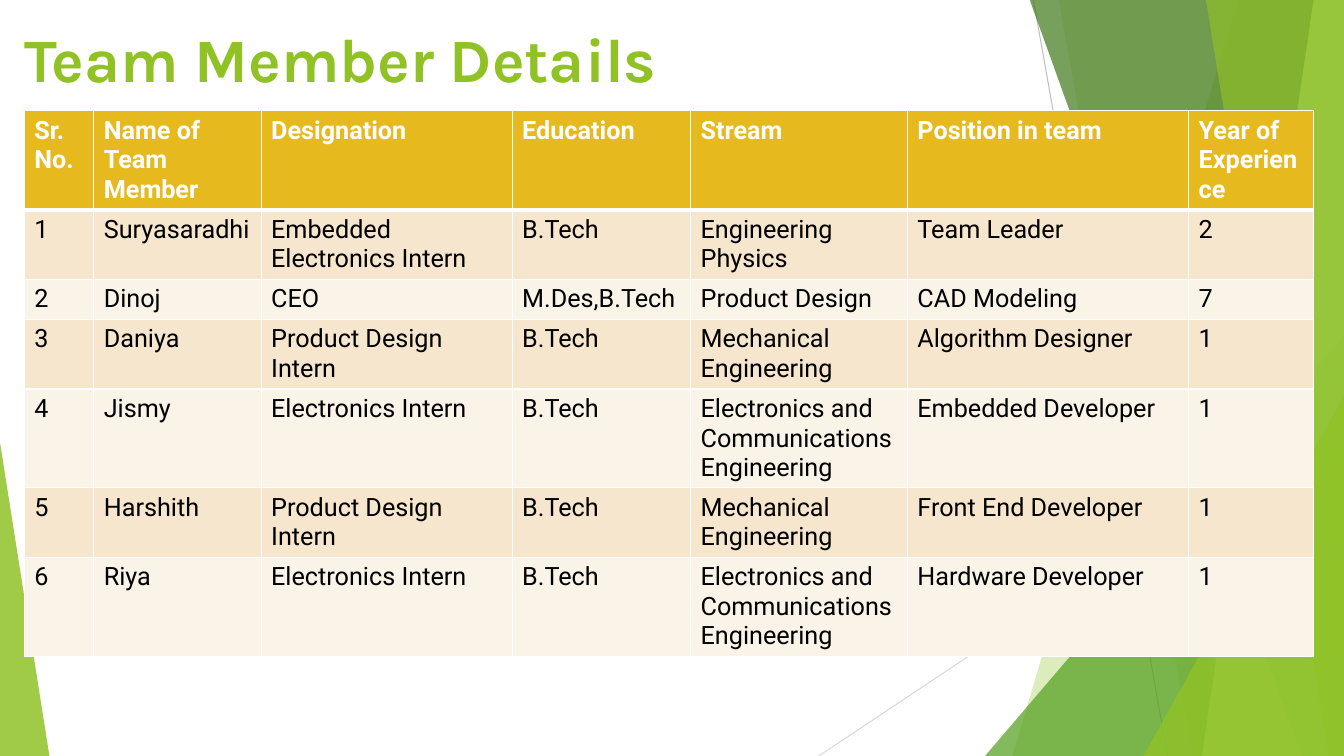
from lxml.etree import SubElement
from pptx import Presentation
from pptx.dml.color import RGBColor
from pptx.enum.shapes import MSO_CONNECTOR, MSO_SHAPE
from pptx.enum.text import MSO_ANCHOR, MSO_AUTO_SIZE, PP_ALIGN
from pptx.oxml import parse_xml
from pptx.oxml.ns import nsdecls, qn
from pptx.util import Inches, Pt

WIDTH, HEIGHT = 13.33, 7.5
TOP = -0.01
GREEN = "90C226"

COLUMN_WIDTHS = [0.69, 1.66, 2.49, 1.77, 2.15, 2.79, 1.24]
LINES_PER_ROW = [3, 2, 1, 2, 3, 2, 3]
ROW_HEIGHTS = {1: 0.4, 2: 0.69, 3: 0.98}

TEAM = [
    ["Sr. No.", "Name of Team Member", "Designation", "Education", "Stream",
     "Position in team", "Year of Experience"],
    ["1", "Suryasaradhi", "Embedded Electronics Intern", "B.Tech",
     "Engineering Physics", "Team Leader", "2"],
    ["2", "Dinoj", "CEO", "M.Des,B.Tech", "Product Design", "CAD Modeling", "7"],
    ["3", "Daniya", "Product Design Intern", "B.Tech",
     "Mechanical Engineering", "Algorithm Designer", "1"],
    ["4", "Jismy", "Electronics Intern", "B.Tech",
     "Electronics and Communications Engineering", "Embedded Developer", "1"],
    ["5", "Harshith", "Product Design Intern", "B.Tech",
     "Mechanical Engineering", "Front End Developer", "1"],
    ["6", "Riya", "Electronics Intern", "B.Tech",
     "Electronics and Communications Engineering", "Hardware Developer", "1"],
]


def color(hex_string):
    return RGBColor.from_string(hex_string)


class TeamSlide:
    heading_font = "Karla"
    body_font = "Roboto"

    def __init__(self, presentation):
        self.slide = presentation.slides.add_slide(presentation.slide_layouts[5])
        self.shapes = self.slide.shapes

    def style_font(self, paragraph, name, size, hex_string, bold):
        for run in paragraph.runs:
            run.font.name = name
            run.font.size = Pt(size)
            run.font.bold = bold
            run.font.color.rgb = color(hex_string)

    def paint(self, shape, hex_string, opacity):
        shape.shadow.inherit = False
        shape.line.fill.background()
        shape.fill.solid()
        shape.fill.fore_color.rgb = color(hex_string)
        fill_color = shape.fill._xPr.find(qn("a:solidFill"))[0]
        SubElement(fill_color, qn("a:alpha"), val=str(opacity * 1000))

    def line(self, start, end, hex_string):
        connector = self.shapes.add_connector(
            MSO_CONNECTOR.STRAIGHT, *map(Inches, start + end))
        connector.line.color.rgb = color(hex_string)
        connector.line.width = Pt(0.75)
        SubElement(connector._element.spPr, qn("a:effectLst"))

    def band(self, top_left, bottom_left, hex_string, opacity):
        """Slanted band that reaches the right edge of the slide."""
        corners = [(WIDTH, TOP), (WIDTH, HEIGHT), (bottom_left, HEIGHT)]
        builder = self.shapes.build_freeform(Inches(top_left), Inches(TOP))
        builder.add_line_segments([(Inches(x), Inches(y)) for x, y in corners])
        self.paint(builder.convert_to_shape(), hex_string, opacity)

    def triangle(self, left, top, width, apex, hex_string, opacity):
        """Triangle that stands on the bottom edge of the slide."""
        shape = self.shapes.add_shape(
            MSO_SHAPE.ISOSCELES_TRIANGLE, Inches(left), Inches(top),
            Inches(width), Inches(HEIGHT - top))
        shape.adjustments[0] = apex
        self.paint(shape, hex_string, opacity)

    def title(self, text, left, top, width, height):
        title = self.shapes.title
        title.left, title.top = Inches(left), Inches(top)
        title.width, title.height = Inches(width), Inches(height)
        frame = title.text_frame
        frame.text = text
        frame.word_wrap = True
        frame.auto_size = MSO_AUTO_SIZE.NONE
        frame.vertical_anchor = MSO_ANCHOR.BOTTOM
        frame.margin_left = frame.margin_right = 0
        frame.margin_top = frame.margin_bottom = 0
        paragraph = frame.paragraphs[0]
        paragraph.alignment = PP_ALIGN.LEFT
        paragraph.line_spacing = 0.9
        self.style_font(paragraph, self.heading_font, 44, GREEN, True)

    def borders(self, cell, top, bottom):
        properties = cell._tc.get_or_add_tcPr()
        sides = [("lnL", 1), ("lnR", 1), ("lnT", top), ("lnB", bottom)]
        for index, (side, width) in enumerate(sides):
            properties.insert(index, parse_xml(
                f'<a:{side} {nsdecls("a")} w="{Pt(width)}"><a:solidFill>'
                f'<a:srgbClr val="FFFFFF"/></a:solidFill></a:{side}>'))

    def table(self, rows, left, top):
        heights = [ROW_HEIGHTS[lines] for lines in LINES_PER_ROW]
        table = self.shapes.add_table(
            len(rows), len(COLUMN_WIDTHS), Inches(left), Inches(top),
            Inches(sum(COLUMN_WIDTHS)), Inches(sum(heights))).table
        table.horz_banding = False
        for column, width in zip(table.columns, COLUMN_WIDTHS):
            column.width = Inches(width)
        for row, height in zip(table.rows, heights):
            row.height = Inches(height)
        for row_index, values in enumerate(rows):
            header = row_index == 0
            band_fill = "F5E6CD" if row_index % 2 else "FAF3E8"
            for column_index, value in enumerate(values):
                cell = table.cell(row_index, column_index)
                cell.text = value
                cell.fill.solid()
                cell.fill.fore_color.rgb = color("E6B91E" if header else band_fill)
                self.borders(cell, 3 if row_index == 1 else 1, 3 if header else 1)
                self.style_font(cell.text_frame.paragraphs[0], self.body_font, 18,
                                "FFFFFF" if header else "000000", header)


def main():
    presentation = Presentation()
    presentation.slide_width = Inches(WIDTH)
    presentation.slide_height = Inches(HEIGHT)
    page = TeamSlide(presentation)

    # Background facets
    page.line((10.25, 0), (11.58, HEIGHT), "BFBFBF")
    page.line((WIDTH, 4.03), (8.12, HEIGHT), "D9D9D9")
    page.band(12.28, 10.04, GREEN, 30)
    page.band(10.5, 11.83, GREEN, 20)
    page.triangle(9.77, 3.33, 3.56, 1, "54A021", 72)
    page.band(10.21, 12.91, "3F7819", 70)
    page.band(13.03, 11.92, "C0E474", 70)
    page.band(11.96, 13.18, GREEN, 65)
    page.triangle(11.34, 3.93, 1.99, 1, GREEN, 80)
    page.triangle(0, 4.39, 0.49, 0, GREEN, 85)

    # Title and team table
    page.title("Team Member Details", 0.24, 0.28, 7.24, 0.67)
    page.table(TEAM, 0.24, 1.1)

    presentation.save("out.pptx")


if __name__ == "__main__":
    main()
